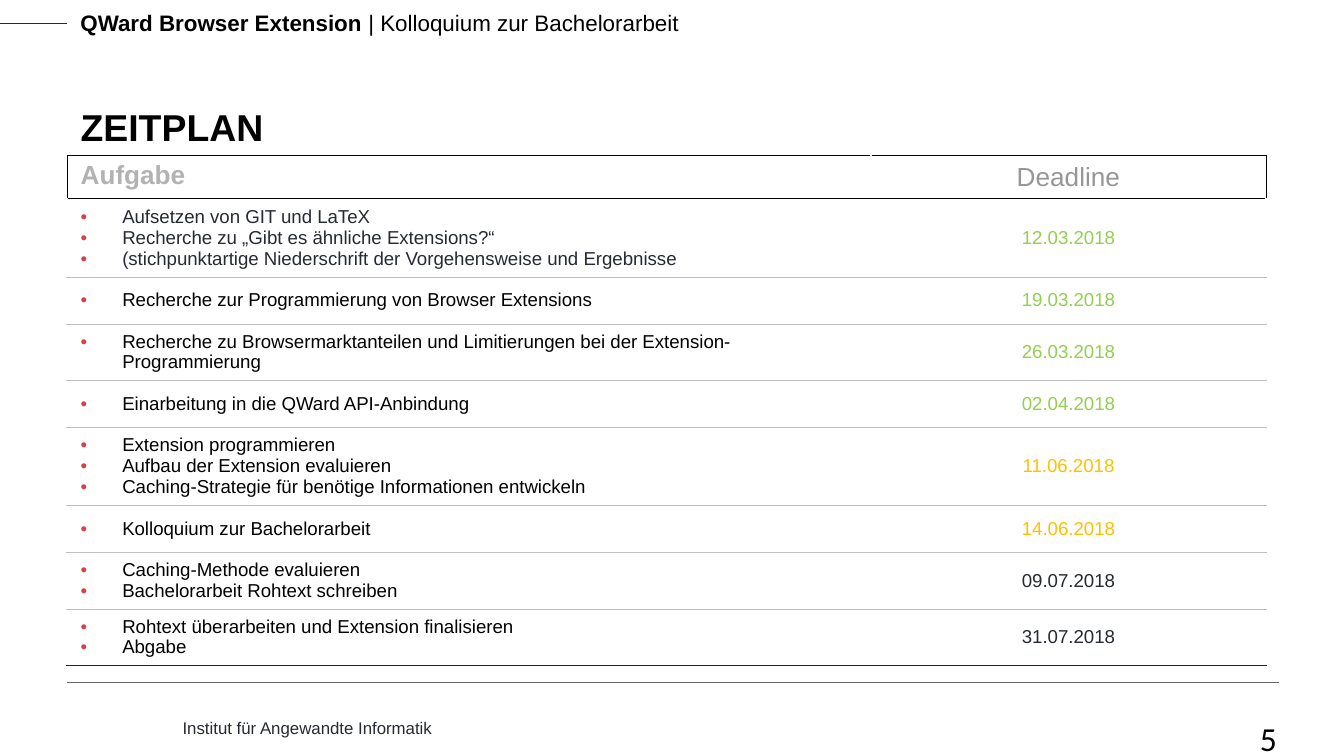
import pptx
import pptx.dml.color
import pptx.enum.shapes
import pptx.enum.text
import pptx.oxml
import pptx.oxml.ns
import pptx.util
from pptx.util import Inches

ALIGN = pptx.enum.text.PP_ALIGN
ANCHOR = pptx.enum.text.MSO_ANCHOR
INK, BLACK, WHITE = "262A31", "000000", "FFFFFF"
DONE, CURRENT, RULE, BULLET = "92D050", "FFC000", "BFBFBF", "D64242"
COLUMN_WIDTHS = [5.98, 2.94]
ROW_HEIGHTS = [0.32, 0.58, 0.35, 0.42, 0.35, 0.58, 0.35, 0.42, 0.42]
SCHEDULE = [
    (["Aufsetzen von GIT und LaTeX",
      "Recherche zu „Gibt es ähnliche Extensions?“",
      "(stichpunktartige Niederschrift der Vorgehensweise und Ergebnisse"],
     INK, "12.03.2018", DONE),
    (["Recherche zur Programmierung von Browser Extensions"],
     BLACK, "19.03.2018", DONE),
    (["Recherche zu Browsermarktanteilen und Limitierungen bei der "
      "Extension-Programmierung"], BLACK, "26.03.2018", DONE),
    (["Einarbeitung in die QWard API-Anbindung"], BLACK, "02.04.2018", DONE),
    (["Extension programmieren", "Aufbau der Extension evaluieren",
      "Caching-Strategie für benötige Informationen entwickeln"],
     BLACK, "11.06.2018", CURRENT),
    (["Kolloquium zur Bachelorarbeit"], BLACK, "14.06.2018", CURRENT),
    (["Caching-Methode evaluieren", "Bachelorarbeit Rohtext schreiben"],
     BLACK, "09.07.2018", INK),
    (["Rohtext überarbeiten und Extension finalisieren", "Abgabe"],
     BLACK, "31.07.2018", INK),
]


def color(value):
    """Turn a hex string into a colour."""
    return pptx.dml.color.RGBColor.from_string(value)


def add_run(paragraph, text, size, ink, bold=False, font="Arial"):
    """Append a formatted run to a paragraph."""
    run = paragraph.add_run()
    run.text = text
    formats = {"size": pptx.util.Pt(size), "bold": bold, "name": font}
    for name, value in formats.items():
        setattr(run.font, name, value)
    run.font.color.rgb = color(ink)


def add_text(slide, box, runs, align=ALIGN.LEFT, inset=None):
    """Add a one-paragraph text box; each run is a tuple for add_run."""
    shape = slide.shapes.add_textbox(*map(Inches, box))
    frame = shape.text_frame
    frame.word_wrap = True
    if inset is not None:
        for side in ("left", "top", "right", "bottom"):
            setattr(frame, "margin_" + side, Inches(inset))
    frame.paragraphs[0].alignment = align
    for run in runs:
        add_run(frame.paragraphs[0], *run)


def add_rule(slide, left, right, top, ink):
    """Draw a thin horizontal line."""
    line = slide.shapes.add_connector(
        pptx.enum.shapes.MSO_CONNECTOR.STRAIGHT,
        Inches(left), Inches(top), Inches(right), Inches(top))
    line.line.color.rgb = color(ink)
    line.line.width = pptx.util.Pt(0.25)
    properties = line._element.spPr
    properties.append(pptx.oxml.parse_xml(
        "<a:effectLst %s/>" % pptx.oxml.ns.nsdecls("a")))


def set_borders(cell, borders):
    """Set cell borders from (side, colour, points) in L, R, T, B order."""
    properties = cell._tc.get_or_add_tcPr()
    for side, ink, points in borders:
        properties.append(pptx.oxml.parse_xml(
            '<a:ln%s %s w="%d"><a:solidFill><a:srgbClr val="%s"/></a:solidFill>'
            '</a:ln%s>' % (side, pptx.oxml.ns.nsdecls("a"),
                           pptx.util.Pt(points), ink, side)))


def add_bullet(paragraph):
    """Give a paragraph a coloured bullet with a hanging indent."""
    properties = paragraph._p.get_or_add_pPr()
    properties.set("marL", str(Inches(0.31)))
    properties.set("indent", str(-Inches(0.31)))
    for markup in ('<a:buClr %s><a:srgbClr val="' + BULLET + '"/></a:buClr>',
                   '<a:buFont %s typeface="Arial"/>',
                   '<a:buChar %s char="•"/>'):
        properties.append(pptx.oxml.parse_xml(
            markup % pptx.oxml.ns.nsdecls("a")))


def fill_cell(cell, lines, size, ink, bold=False, align=ALIGN.LEFT,
              anchor=ANCHOR.MIDDLE, bullets=False):
    """Write one paragraph per line into a table cell."""
    cell.fill.background()
    formats = {"vertical_anchor": anchor, "margin_top": Inches(0.04),
               "margin_bottom": Inches(0.04)}
    for name, value in formats.items():
        setattr(cell, name, value)
    frame = cell.text_frame
    for index, text in enumerate(lines):
        paragraph = frame.add_paragraph() if index else frame.paragraphs[0]
        paragraph.alignment = align
        if bullets:
            add_bullet(paragraph)
        add_run(paragraph, text, size, ink, bold)


def border_cells(table):
    """Frame the header and rule off the rows below it."""
    last = len(ROW_HEIGHTS) - 1
    for row in range(last + 1):
        top = (BLACK, 0.5) if row < 2 else (RULE, 0.25)
        bottom = {0: (BLACK, 0.5), last: ("242424", 0.5)}.get(row, (RULE, 0.25))
        outer = (BLACK, 0.5) if row == 0 else (WHITE, 1)
        inner = (WHITE, 1)
        for column in range(2):
            left, right = (inner, outer) if column else (outer, inner)
            set_borders(table.cell(row, column), [
                ("L", *left), ("R", *right), ("T", *top), ("B", *bottom)])


def add_schedule(slide):
    """Add the table of tasks and deadlines."""
    table = slide.shapes.add_table(
        len(ROW_HEIGHTS), 2, Inches(0.5), Inches(1.16),
        Inches(sum(COLUMN_WIDTHS)), Inches(sum(ROW_HEIGHTS))).table
    table.first_row = table.horz_banding = False
    for column, width in zip(table.columns, COLUMN_WIDTHS):
        column.width = Inches(width)
    for row, height in zip(table.rows, ROW_HEIGHTS):
        row.height = Inches(height)
    border_cells(table)
    fill_cell(table.cell(0, 0), ["Aufgabe"], 14, "B2B2B2", True,
              anchor=ANCHOR.TOP)
    fill_cell(table.cell(0, 1), ["Deadline"], 14, "969696", align=ALIGN.CENTER)
    for row, (tasks, ink, deadline, status) in enumerate(SCHEDULE, 1):
        fill_cell(table.cell(row, 0), tasks, 10, ink, bullets=True)
        fill_cell(table.cell(row, 1), [deadline], 10, status,
                  align=ALIGN.CENTER)


def set_title(slide, text):
    """Place and format the title placeholder."""
    title = slide.shapes.title
    position = {"left": 0.5, "top": 0.33, "width": 9, "height": 0.83}
    for name, value in position.items():
        setattr(title, name, Inches(value))
    title.text_frame.vertical_anchor = ANCHOR.BOTTOM
    paragraph = title.text_frame.paragraphs[0]
    paragraph.alignment = ALIGN.LEFT
    add_run(paragraph, text, 20, BLACK, True)


def main():
    """Build the schedule slide."""
    presentation = pptx.Presentation()
    presentation.slide_width = Inches(10)
    presentation.slide_height = Inches(10 * 9 / 16)
    slide = presentation.slides.add_slide(presentation.slide_layouts[5])
    add_rule(slide, 0, 0.5, 0.17, INK)
    add_text(slide, (0.5, 0.02, 7.66, 0.3),
             [("QWard Browser Extension ", 12, BLACK, True),
              ("| Kolloquium zur Bachelorarbeit", 12, BLACK)])
    add_rule(slide, 0.5, 9.52, 5.08, "666666")
    add_text(slide, (1.26, 5.29, 7.42, 0.25),
             [("Institut für Angewandte Informatik", 9, INK)])
    set_title(slide, "ZEITPLAN")
    add_schedule(slide)
    add_text(slide, (8.69, 5.34, 0.81, 0.22),
             [("5", 18, BLACK, False, "Calibri")], ALIGN.RIGHT, inset=0)
    presentation.save("out.pptx")


main()
